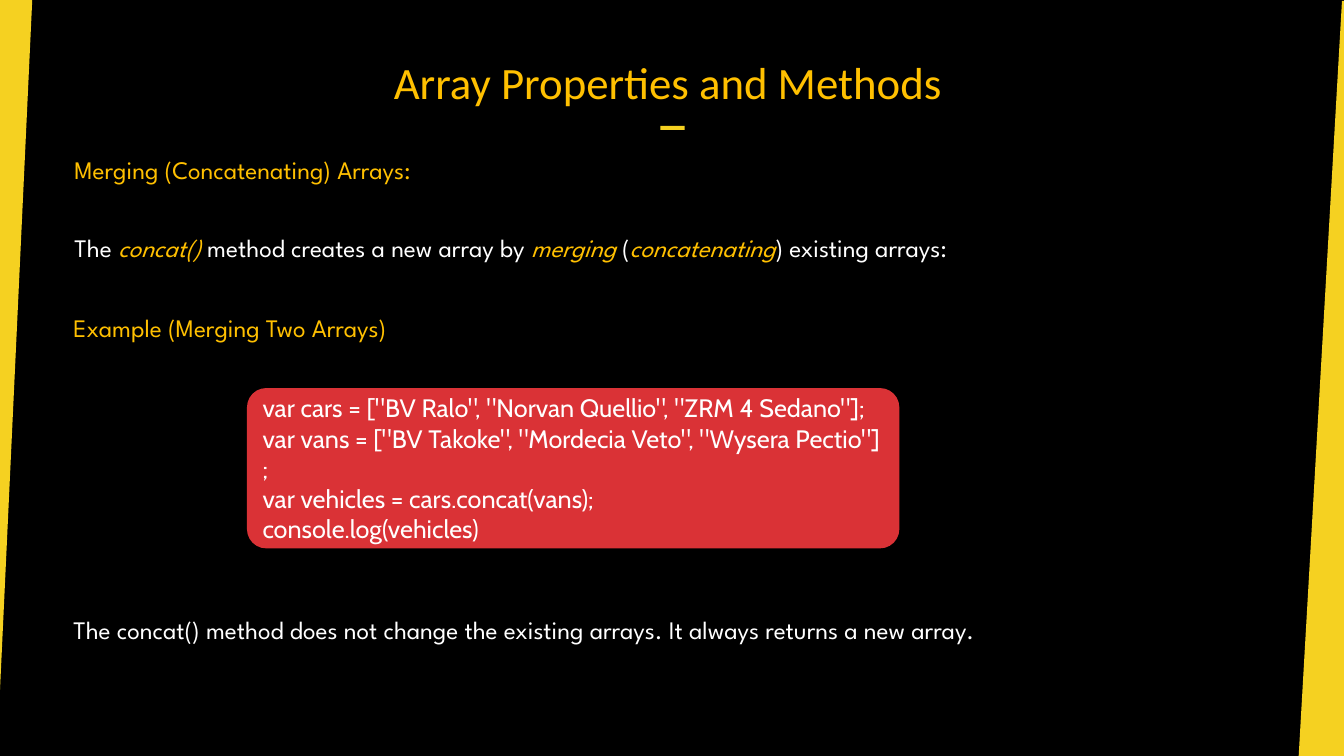
"""Build the slide on merging arrays with concat()."""
from pptx import Presentation
from pptx.dml.color import RGBColor
from pptx.enum.shapes import MSO_SHAPE
from pptx.enum.text import MSO_ANCHOR, MSO_AUTO_SIZE, PP_ALIGN
from pptx.util import Pt

PX = 9144
TITLE_ONLY = 5
RECTANGLE, ROUNDED = MSO_SHAPE.RECTANGLE, MSO_SHAPE.ROUNDED_RECTANGLE
BOTTOM, MIDDLE = MSO_ANCHOR.BOTTOM, MSO_ANCHOR.MIDDLE
LEFT, CENTER = PP_ALIGN.LEFT, PP_ALIGN.CENTER
GROW, FIXED = MSO_AUTO_SIZE.SHAPE_TO_FIT_TEXT, MSO_AUTO_SIZE.NONE
NO_BREAK_SPACE = chr(160)
COLORS = {
    "black": "000000",
    "yellow": "F5D121",
    "amber": "FFC000",
    "red": "DA3236",
    "white": "FFFFFF",
}


def paint(shape, color):
    shape.shadow.inherit = False
    shape.fill.solid()
    shape.fill.fore_color.rgb = RGBColor.from_string(COLORS[color])
    shape.line.fill.background()


def add_span(para, text, color, **formats):
    span = para.add_run()
    span.text = text
    span.font.color.rgb = RGBColor.from_string(COLORS[color])
    for name, value in formats.items():
        setattr(span.font, name, value)


deck = Presentation()
deck.slide_width, deck.slide_height = 1333 * PX, 750 * PX
page = deck.slides.add_slide(deck.slide_layouts[TITLE_ONLY])
page.background.fill.solid()
page.background.fill.fore_color.rgb = RGBColor.from_string(COLORS["black"])

side_bands = [
    [(-3, 750), (-5, 750), (-5, 0), (32, 0)],
    [(1331, 1), (1333, 1), (1333, 751), (1288, 751)],
]
for start, *corners in side_bands:
    outline = page.shapes.build_freeform(*start, scale=PX)
    outline.add_line_segments(corners, close=True)
    paint(outline.convert_to_shape(), "yellow")

dash = page.shapes.add_shape(RECTANGLE, 655 * PX, 125 * PX, 24 * PX, 4 * PX)
paint(dash, "yellow")

title = page.shapes.title
title_place = {"left": 317, "top": 33, "width": 691, "height": 75}
for name, value in title_place.items():
    setattr(title, name, value * PX)
title_format = {
    "margin_left": 10 * PX,
    "margin_right": 10 * PX,
    "margin_top": 4 * PX,
    "margin_bottom": 0,
    "vertical_anchor": BOTTOM,
    "auto_size": FIXED,
    "word_wrap": True,
}
for name, value in title_format.items():
    setattr(title.text_frame, name, value)
title_para = title.text_frame.paragraphs[0]
title_para.alignment = CENTER
add_span(title_para, "Array Properties and Methods", "amber", name="Calibri", size=Pt(32))

statements = [
    ((64, 148, 684), True, [("Merging (Concatenating) Arrays:", "amber", False)]),
    ((64, 226, 1228), True, [
        ("The ", "white", False),
        ("concat() ", "amber", True),
        ("method creates a new array by ", "white", False),
        ("merging", "amber", True),
        (" (", "white", False),
        ("concatenating", "amber", True),
        (") existing arrays:", "white", False),
    ]),
    ((63, 305, 365), False, [("Example (Merging Two Arrays)", "amber", False)]),
    ((63, 605, 1056), True, [
        ("The concat() method does not change the existing arrays. "
         "It always returns a new array.", "white", False),
    ]),
]
for (left, top, width), wrap, spans in statements:
    box = page.shapes.add_textbox(left * PX, top * PX, width * PX, 40 * PX)
    box.text_frame.word_wrap = wrap
    box.text_frame.auto_size = GROW
    for text, color, italic in spans:
        add_span(box.text_frame.paragraphs[0], text, color,
                 name="League Spartan", size=Pt(18), italic=italic)

code_lines = [
    'var cars = ["BV Ralo", "Norvan Quellio", "ZRM 4 Sedano"];',
    'var vans = ["BV Takoke", "Mordecia Veto", "Wysera Pectio"];',
    "var vehicles = cars.concat(vans);",
    "console.log(vehicles)",
]
code_box = page.shapes.add_shape(ROUNDED, 245 * PX, 385 * PX, 647 * PX, 159 * PX)
code_box.adjustments[0] = 0.12
paint(code_box, "red")
code_frame = code_box.text_frame
code_frame.word_wrap = True
code_frame.vertical_anchor = MIDDLE
for index, line in enumerate(code_lines):
    para = code_frame.add_paragraph() if index else code_frame.paragraphs[0]
    para.alignment = LEFT
    add_span(para, line.replace(" ", NO_BREAK_SPACE), "white", name="Cabin", size=Pt(18))

deck.save("out.pptx")
